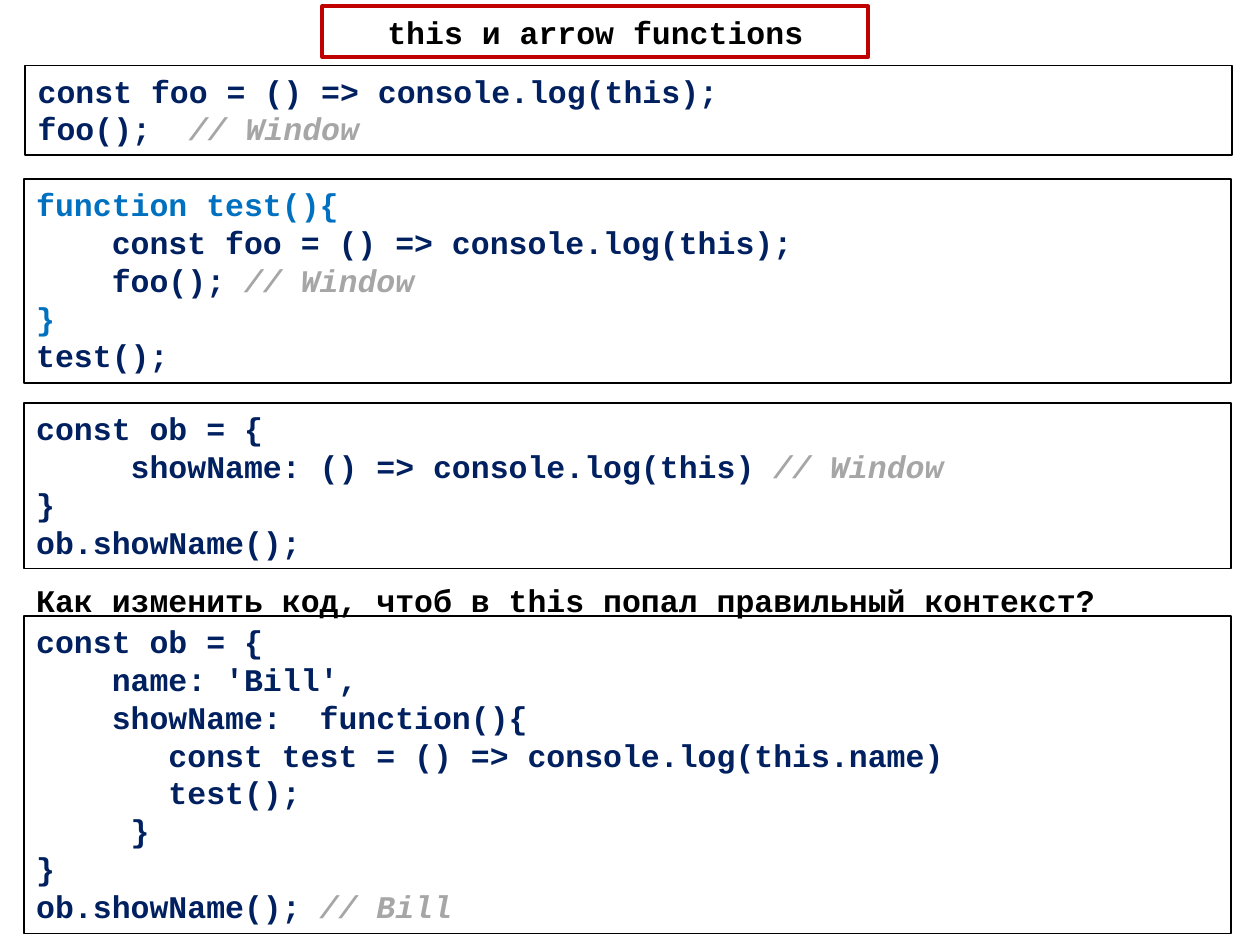
"""Build a slide on this and arrow functions with four code panels."""
from lxml.etree import SubElement
from pptx import Presentation
from pptx.dml.color import RGBColor
from pptx.enum.shapes import MSO_SHAPE
from pptx.enum.text import MSO_ANCHOR, MSO_AUTO_SIZE, PP_ALIGN
from pptx.oxml.ns import qn
from pptx.util import Cm, Pt

COLOURS = {"code": "002060", "outer": "0070C0", "comment": "A6A6A6",
           "text": "000000", "accent": "C00000", "paper": "FFFFFF"}


def add_run(paragraph, text, colour):
    run = paragraph.add_run()
    run.text = text
    font_format = {"name": "Courier New", "size": Pt(18), "bold": True,
                   "italic": colour == "comment"}
    for key, value in font_format.items():
        setattr(run.font, key, value)
    run.font.color.rgb = RGBColor.from_string(COLOURS[colour])


def add_panel(left, top, width, height, border, weight):
    panel = slide.shapes.add_shape(
        MSO_SHAPE.RECTANGLE, Cm(left), Cm(top), Cm(width), Cm(height))
    panel.shadow.inherit = False
    panel.fill.solid()
    panel.fill.fore_color.rgb = RGBColor.from_string(COLOURS["paper"])
    panel.line.color.rgb = RGBColor.from_string(COLOURS[border])
    panel.line.width = Pt(weight)
    return panel


presentation = Presentation()
presentation.slide_width = Cm(25.4)
presentation.slide_height = Cm(19.05)
slide = presentation.slides.add_slide(presentation.slide_layouts[6])

title = add_panel(6.5, 0.13, 11, 1.02, "accent", 2.25)
title.text_frame.vertical_anchor = MSO_ANCHOR.MIDDLE
title.text_frame.paragraphs[0].alignment = PP_ALIGN.CENTER
add_run(title.text_frame.paragraphs[0], "this и аrrow functions", "text")

examples = [
    (0.51, 1.32, 1.8, [
        ("const foo = () => console.log(this); ", "code"),
        ("foo();  // Window", "code")]),
    (0.48, 3.61, 4.11, [
        ("function test(){", "outer"),
        ("    const foo = () => console.log(this);", "code"),
        ("    foo(); // Window", "code"),
        ("}", "outer"),
        ("test(); ", "code")]),
    (0.48, 8.13, 3.33, [
        ("const ob = {", "code"),
        ("     showName: () => console.log(this) // Window", "code"),
        ("}", "code"),
        ("ob.showName(); ", "code")]),
    (0.48, 12.42, 6.4, [
        ("const ob = {", "code"),
        ("    name: 'Bill',", "code"),
        ("    showName:  function(){", "code"),
        ("       const test = () => console.log(this.name)", "code"),
        ("       test();", "code"),
        ("     }", "code"),
        ("}", "code"),
        ("ob.showName(); // Bill", "code")]),
]

for left, top, height, lines in examples:
    example = add_panel(left, top, 24.33, height, "text", 1)
    paper = example.fill._xPr.find(qn("a:solidFill"))[0]
    SubElement(paper, qn("a:alpha")).set("val", "7000")
    frame_format = {"word_wrap": True, "vertical_anchor": MSO_ANCHOR.TOP,
                    "auto_size": MSO_AUTO_SIZE.SHAPE_TO_FIT_TEXT}
    for key, value in frame_format.items():
        setattr(example.text_frame, key, value)
    for number, (line, colour) in enumerate(lines):
        if number:
            paragraph = example.text_frame.add_paragraph()
        else:
            paragraph = example.text_frame.paragraphs[0]
        paragraph.alignment = PP_ALIGN.LEFT
        statement, slashes, remark = line.partition("//")
        add_run(paragraph, statement, colour)
        if slashes:
            add_run(paragraph, slashes + remark, "comment")

question = slide.shapes.add_textbox(Cm(0.48), Cm(11.58), Cm(21.95), Cm(1.02))
question.text_frame.word_wrap = False
question.text_frame.auto_size = MSO_AUTO_SIZE.SHAPE_TO_FIT_TEXT
add_run(question.text_frame.paragraphs[0],
        "Как изменить код, чтоб в this попал правильный контекст?", "text")

presentation.save("out.pptx")
